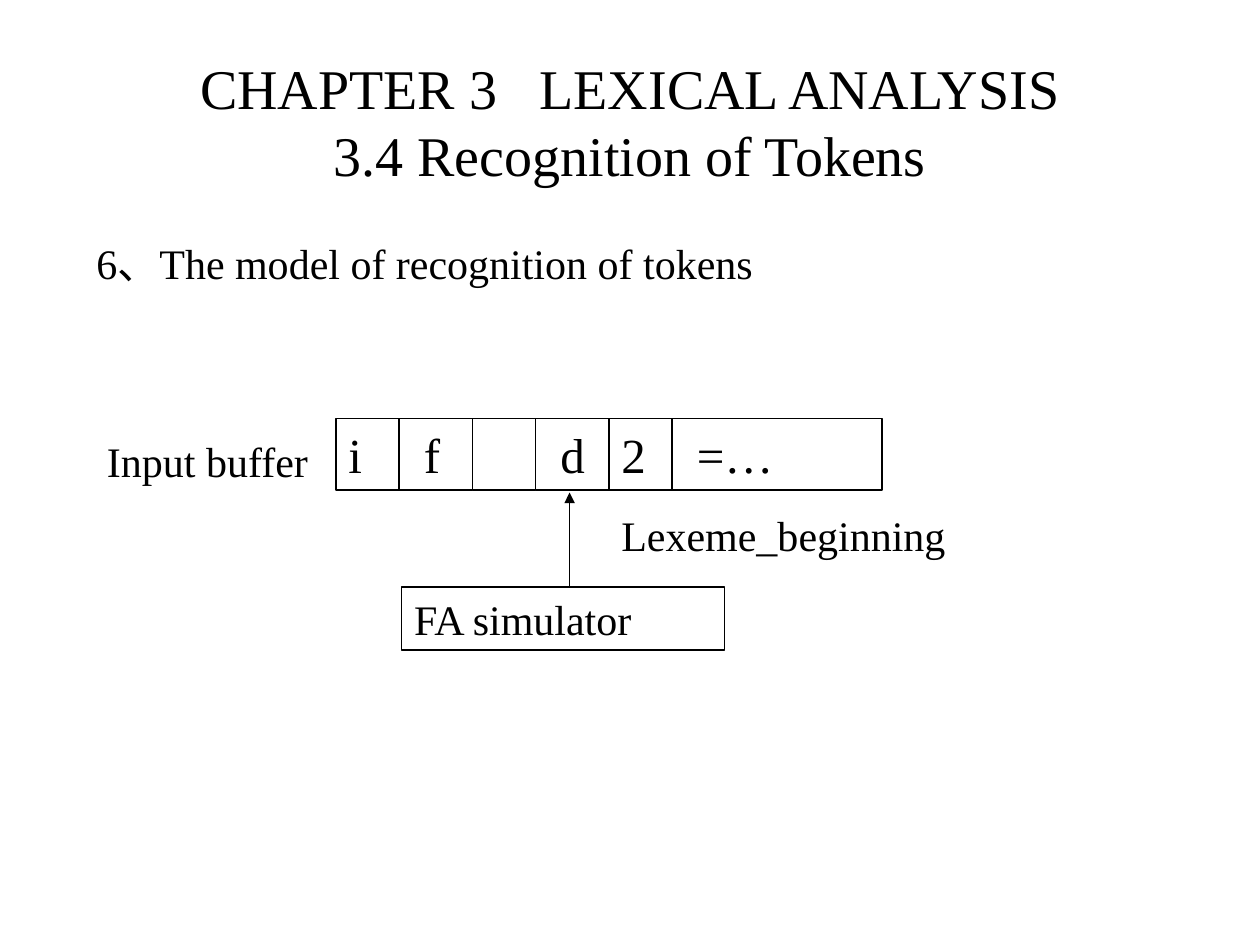
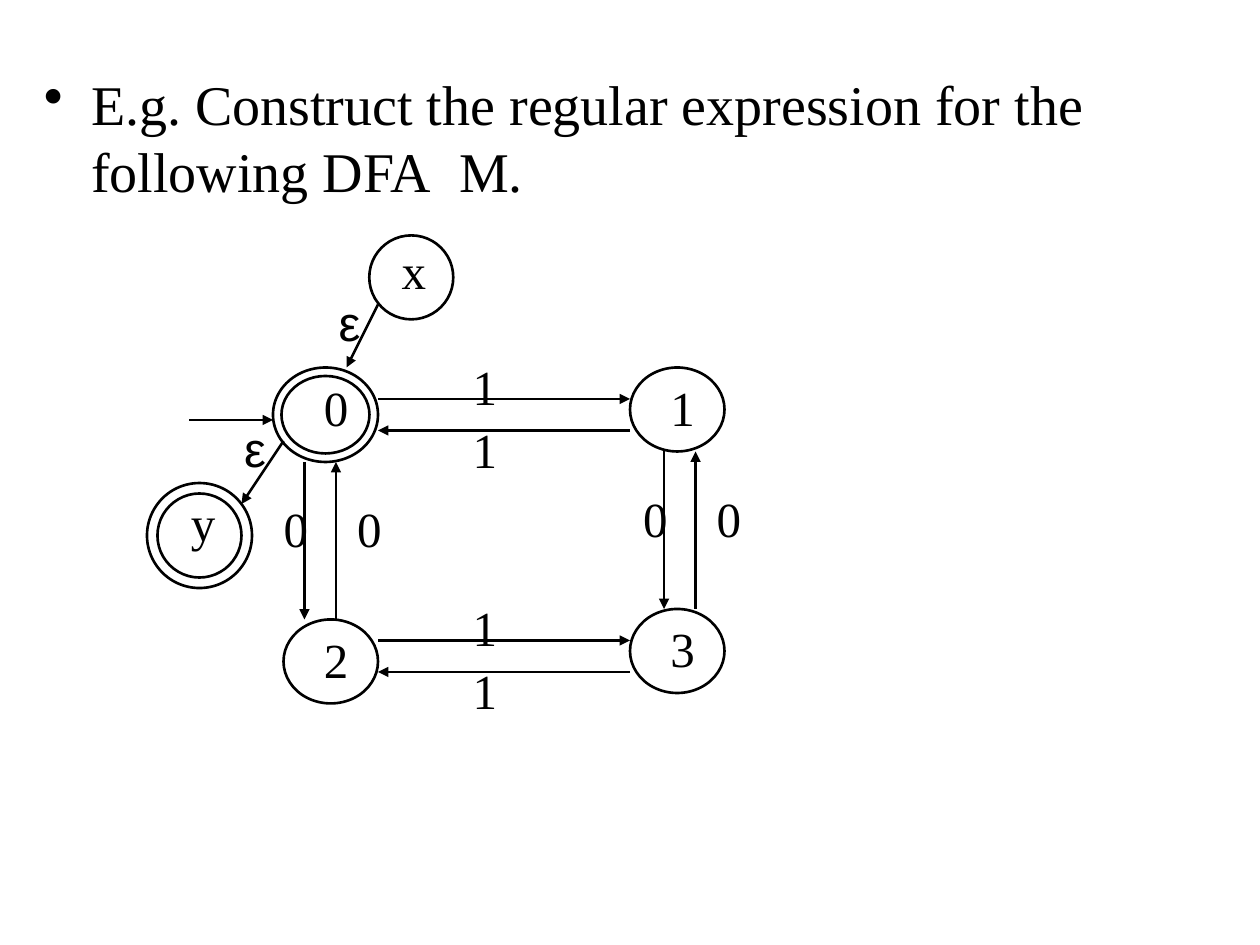
"""Builds two slides on token recognition and a finite automaton."""
import pptx
import pptx.dml.color
import pptx.enum.shapes
import pptx.enum.text
import pptx.oxml
import pptx.oxml.ns
import pptx.util

Pt = pptx.util.Pt
Shapes = pptx.enum.shapes.MSO_SHAPE
Anchor = pptx.enum.text.MSO_ANCHOR
Align = pptx.enum.text.PP_ALIGN
COLORS = {"ink": "000000"}
SERIF = "Times New Roman"
SYMBOL = "Arial"


def ink():
    return pptx.dml.color.RGBColor.from_string(COLORS["ink"])


def add_xml(parent, tag, **attributes):
    child = pptx.oxml.parse_xml(f"<a:{tag} {pptx.oxml.ns.nsdecls('a')}/>")
    for name, value in attributes.items():
        child.set(name, value)
    parent.append(child)


def write(box, text, size=28, font=SERIF, align=Align.LEFT, anchor=Anchor.TOP,
          wrap=True, indent=0, bullet=None, gap=0):
    frame = box.text_frame
    frame.word_wrap = wrap
    frame.vertical_anchor = anchor
    frame.margin_left = Pt(7.2 + indent)
    para = frame.paragraphs[0]
    para.alignment = align
    if bullet:
        layout = para._p.get_or_add_pPr()
        layout.set("marL", str(Pt(27)))
        layout.set("indent", str(Pt(-27)))
        add_xml(layout, "buChar", char=bullet)
    for index, part in enumerate(text.split("|")):
        if index:
            space = para.add_run()
            space.text = " "
            space.font.size = Pt(size)
            space.font.name = font
            space._r.get_or_add_rPr().set("spc", str(gap * 100))
        for row, line in enumerate(part.split("\n")):
            if row:
                para.add_line_break()
            span = para.add_run()
            span.text = line
            span.font.size = Pt(size)
            span.font.name = font
            span.font.color.rgb = ink()


class Sketch:
    """Holds the deck, the current page and its line weight."""

    def __init__(self):
        self.deck = pptx.Presentation()
        self.deck.slide_width = Pt(720)
        self.deck.slide_height = Pt(540)

    def new_page(self, weight):
        self.page = self.deck.slides.add_slide(self.deck.slide_layouts[6])
        self.weight = weight

    def text(self, text, left, top, width, height, **style):
        box = self.page.shapes.add_textbox(Pt(left), Pt(top), Pt(width), Pt(height))
        write(box, text, **style)

    def label(self, text, left, top, font=SERIF):
        self.text(text, left, top, 28, 41, font=font, wrap=False)

    def outline(self, kind, left, top, width, height):
        shape = self.page.shapes.add_shape(kind, Pt(left), Pt(top), Pt(width), Pt(height))
        shape.shadow.inherit = False
        shape.fill.background()
        shape.line.color.rgb = ink()
        shape.line.width = Pt(self.weight)
        return shape

    def cell(self, text, left, top, width, height, **style):
        shape = self.outline(Shapes.RECTANGLE, left, top, width, height)
        if text:
            write(shape, text, **style)

    def state(self, name, left, top, width, height, shift=(16, 2), ring=None):
        shape = self.outline(Shapes.DONUT if ring else Shapes.OVAL, left, top, width, height)
        if ring:
            shape.adjustments[0] = ring
        self.label(name, left + shift[0], top + shift[1])

    def arrow(self, start_x, start_y, end_x, end_y):
        line = self.page.shapes.add_connector(
            pptx.enum.shapes.MSO_CONNECTOR.STRAIGHT,
            Pt(start_x), Pt(start_y), Pt(end_x), Pt(end_y))
        line.line.color.rgb = ink()
        line.line.width = Pt(self.weight)
        add_xml(line.line._get_or_add_ln(), "tailEnd", type="triangle")
        add_xml(line._element.spPr, "effectLst")


def draw_recognition_model(sketch):
    sketch.new_page(0.75)
    sketch.text("CHAPTER 3|LEXICAL ANALYSIS\n3.4 Recognition of Tokens", 54, 12, 612, 114,
                size=32, align=Align.CENTER, anchor=Anchor.MIDDLE, gap=16)
    sketch.text("6、The model of recognition of tokens", 48, 132, 564, 36, size=24)
    sketch.text("Input buffer", 54, 245.5, 162, 36, size=24)
    left = 192
    buffer = [("i", 36, 0), ("f", 42, 7), ("", 36, 0), ("d", 42, 7), ("2", 36, 0), ("=…", 120, 7)]
    for symbol, width, indent in buffer:
        sketch.cell(symbol, left, 239, width, 41, indent=indent)
        left += width
    sketch.arrow(325.5, 335.5, 325.5, 281.5)
    sketch.cell("FA simulator", 229.5, 335.5, 184.5, 36, size=24)
    sketch.text("Lexeme_beginning", 348, 287.5, 252, 36, size=24)


def draw_automaton(sketch):
    sketch.new_page(1.5)
    sketch.text("E.g. Construct the regular expression for the following DFA|M.",
                18, 36, 648, 444, size=32, bullet="•", gap=8)
    sketch.state("0", 156, 210, 60, 54, shift=(22, 2), ring=0.09)
    sketch.state("1", 360, 210, 54, 48)
    sketch.state("2", 162, 354, 54, 48)
    sketch.state("3", 360, 348, 54, 48)
    sketch.state("x", 211, 134.5, 48, 48, shift=(11.5, -0.5))
    sketch.state("y", 84, 276, 60, 60, shift=(18, 2), ring=0.1)
    for top in (228, 366):
        sketch.arrow(216, top, 360, top)
        sketch.arrow(360, top + 18, 216, top + 18)
        sketch.label("1", 263, top - 28)
        sketch.label("1", 263, top + 8)
    for left, top in ((174, 264), (379.5, 258)):
        sketch.arrow(left, top, left, top + 90)
        sketch.arrow(left + 18, top + 90, left + 18, top)
        sketch.label("0", left - 19, top + 17.5)
        sketch.label("0", left + 23, top + 17.5)
    sketch.arrow(108, 240, 156, 240)
    sketch.arrow(216, 174, 198, 210)
    sketch.arrow(162, 252, 138, 288)
    for left, top in ((186.5, 163.5), (132.5, 235.5)):
        sketch.label("ε", left, top, font=SYMBOL)


def main():
    sketch = Sketch()
    draw_recognition_model(sketch)
    draw_automaton(sketch)
    sketch.deck.save("out.pptx")


if __name__ == "__main__":
    main()
